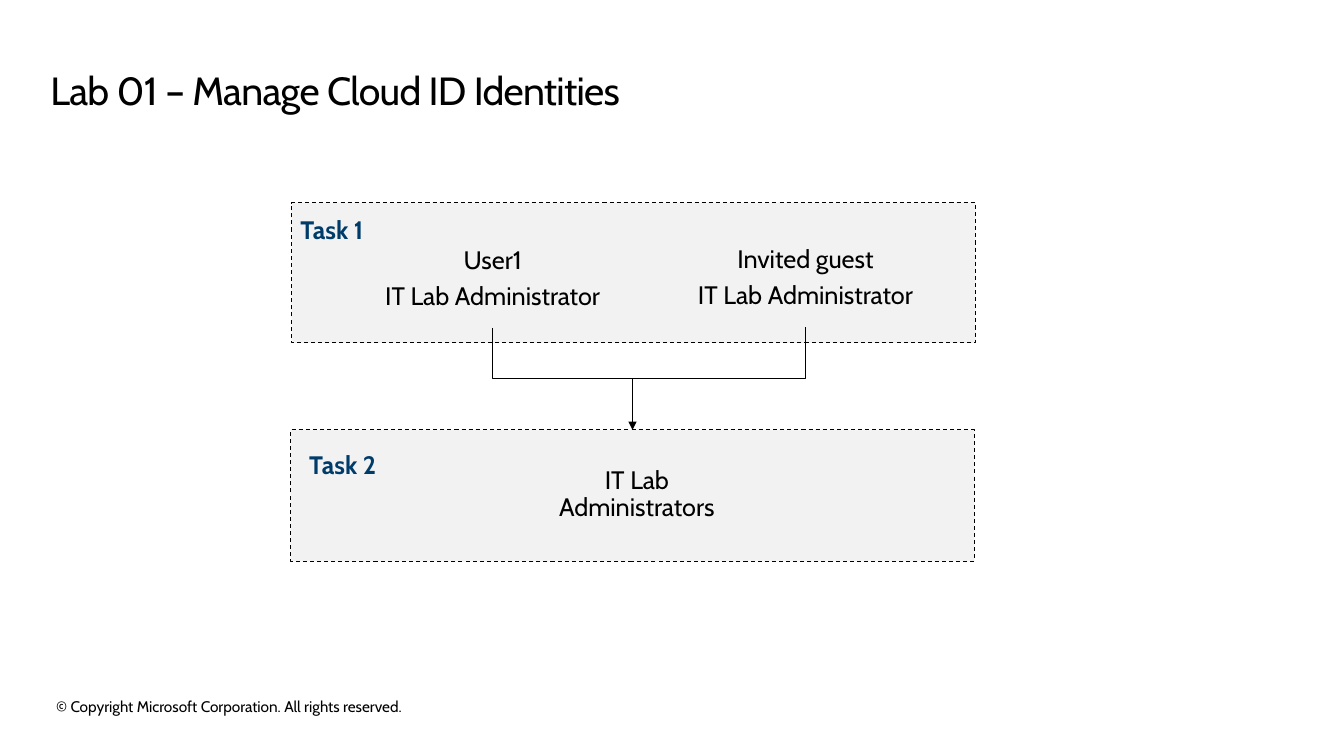
from lxml.etree import SubElement
from pptx import Presentation
from pptx.dml.color import RGBColor
from pptx.enum.dml import MSO_LINE
from pptx.enum.shapes import MSO_CONNECTOR, MSO_SHAPE
from pptx.enum.text import MSO_ANCHOR, MSO_AUTO_SIZE, PP_ALIGN
from pptx.oxml.ns import qn
from pptx.util import Pt

# Content: boxes are left, top, width, height in points
FONT, BLACK, GREY, BLUE = "Cabin", "000000", "F2F2F2", "003C6A"
TITLE = "Lab 01 – Manage Cloud ID Identities"
NOTICE = "© Copyright Microsoft Corporation. All rights reserved."
PANELS = [(212.4, 147.6, 498.2, 102.2), (211.7, 313.2, 498.2, 95.8)]
TAGS = [("Task 1", (211.7, 152.6, 68.4, 29.5)),
        ("Task 2", (218.2, 324, 72, 30.2))]
USERS = [(["User1", "IT Lab Administrator"], (254.9, 169.2, 208.1, 69.8)),
         (["Invited guest", "IT Lab Administrator"], (477.4, 168.5, 218.9, 69.8))]
GROUP = (["IT Lab Administrators"], (372.2, 329, 183.6, 63.4))


def color(code):
    return RGBColor.from_string(code)


def place(shape, box):
    shape.left, shape.top, shape.width, shape.height = map(Pt, box)


def style(para, size, code=BLACK, bold=False):
    font = para.font
    font.name, font.size, font.bold = FONT, Pt(size), bold
    font.color.rgb = color(code)


def inset(frame, left, top, right, bottom):
    frame.margin_left, frame.margin_top = Pt(left), Pt(top)
    frame.margin_right, frame.margin_bottom = Pt(right), Pt(bottom)


def label(text, box, size, code=BLACK, bold=False):
    frame = slide.shapes.add_textbox(*map(Pt, box)).text_frame
    frame.word_wrap = True
    frame.text = text
    style(frame.paragraphs[0], size, code, bold)


def role(lines, box):
    shape = slide.shapes.add_textbox(*map(Pt, box))
    frame = shape.text_frame
    frame.word_wrap = True
    inset(frame, 14.4, 11.5, 14.4, 11.5)
    frame.text = "\n".join(lines)
    for para in frame.paragraphs:
        para.alignment = PP_ALIGN.CENTER
        para.line_spacing = 0.9
        para.space_after = Pt(5.9)
        style(para, 18.4)
    return shape


def panel(box):
    shape = slide.shapes.add_shape(MSO_SHAPE.RECTANGLE, *map(Pt, box))
    shape.shadow.inherit = False
    shape.fill.solid()
    shape.fill.fore_color.rgb = color(GREY)
    shape.line.color.rgb = color(BLACK)
    shape.line.width = Pt(0.75)
    shape.line.dash_style = MSO_LINE.DASH
    return shape


def elbow(start, end):
    """Join the bottom of start to the top of end, leaving downwards."""
    link = slide.shapes.add_connector(MSO_CONNECTOR.ELBOW, 0, 0, 0, 0)
    link.begin_connect(start, 2)
    link.end_connect(end, 0)
    x1, y1, x2, y2 = link.begin_x, link.begin_y, link.end_x, link.end_y
    # Turn the elbow a quarter so that its first leg is vertical
    wide, high = abs(x2 - x1), y2 - y1
    link.left = (x1 + x2 - high) // 2
    link.top = (y1 + y2 - wide) // 2
    link.width, link.height = high, wide
    props = link._element.spPr
    frame = props.find(qn("a:xfrm"))
    for key in ("flipH", "flipV"):
        frame.attrib.pop(key, None)
    if x1 < x2:
        frame.set("rot", "16200000")
        frame.set("flipH", "1")
    else:
        frame.set("rot", "5400000")
    link.line.color.rgb = color(BLACK)
    link.line.width = Pt(0.75)
    SubElement(props, qn("a:effectLst"))
    return link


deck = Presentation()
deck.slide_width, deck.slide_height = Pt(979.2), Pt(550.8)
slide = deck.slides.add_slide(deck.slide_layouts[5])

# Title and copyright line
title = slide.shapes.title
place(title, (36.7, 44.6, 907.9, 42.5))
frame = title.text_frame
frame.text = TITLE
frame.auto_size = MSO_AUTO_SIZE.NONE
frame.vertical_anchor = MSO_ANCHOR.TOP
inset(frame, 0, 7.2, 11.5, 7.2)
head = frame.paragraphs[0]
head.alignment = PP_ALIGN.LEFT
head.line_spacing = 0.9
style(head, 28.6)
head.runs[0].font._element.set("spc", "-50")
label(NOTICE, (33.8, 504.7, 489.6, 21.6), 11.2)

# Task panels with their tags
first, second = [panel(box) for box in PANELS]
for text, box in TAGS:
    label(text, box, 18.4, BLUE, True)

# Users and the group they join
people = [role(*user) for user in USERS]
role(*GROUP)
links = [elbow(person, second) for person in people]
SubElement(links[-1].line._get_or_add_ln(), qn("a:tailEnd"), type="triangle")

deck.save("out.pptx")
